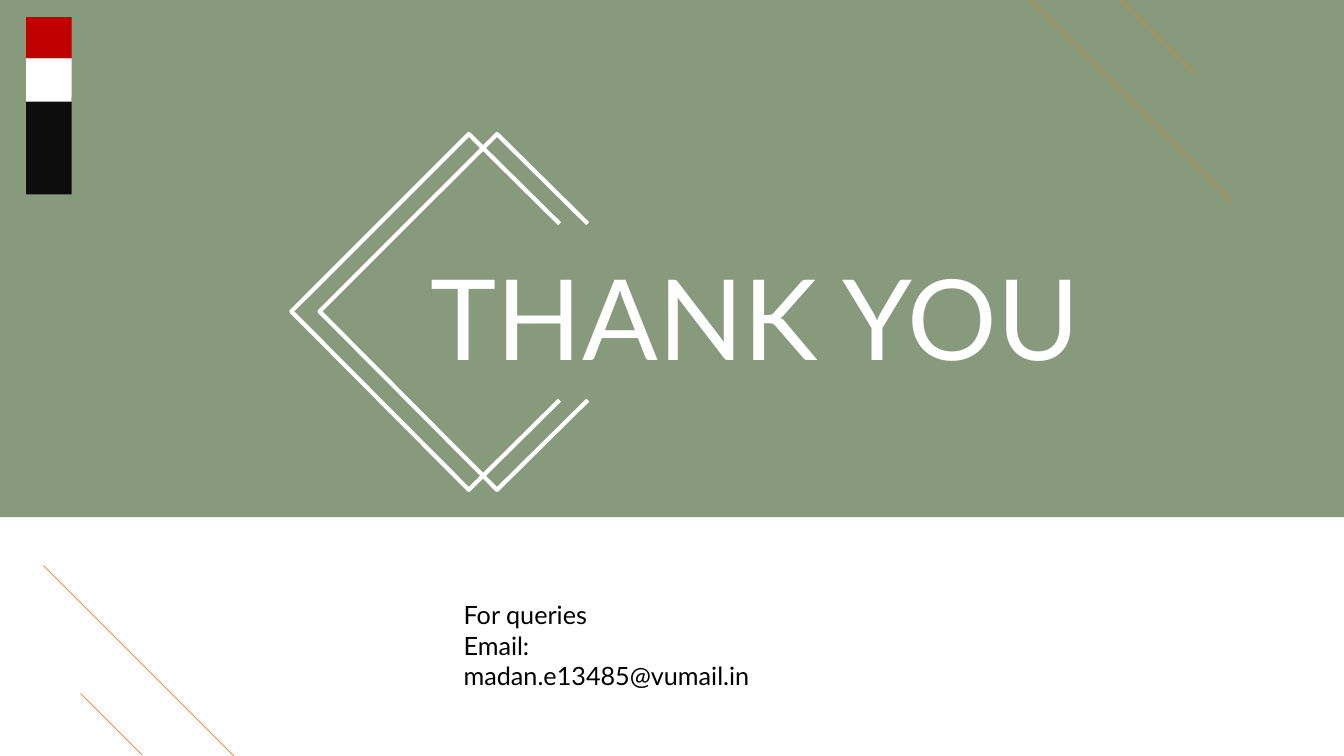
import pptx
import pptx.util
import pptx.dml.color
import pptx.enum.shapes
import pptx.enum.text
import pptx.oxml.ns
from dataclasses import dataclass
from lxml import etree

Inches = pptx.util.Inches
Pt = pptx.util.Pt
RGB = pptx.dml.color.RGBColor.from_string
qn = pptx.oxml.ns.qn


@dataclass(frozen=True)
class Theme:
    font: str = "Lato"
    green: str = "385723"
    orange: str = "ED7D31"
    red: str = "C00000"
    black: str = "0D0D0D"
    white: str = "FFFFFF"
    text: str = "000000"
    title_size: int = 80
    body_size: int = 18
    thin: float = 0.5
    thick: float = 3


theme = Theme()


def add_block(s, left, top, width, height, color):
    sp = s.shapes.add_shape(pptx.enum.shapes.MSO_SHAPE.RECTANGLE, Inches(left), Inches(top), Inches(width), Inches(height))
    sp.shadow.inherit = False
    sp.fill.solid()
    sp.fill.fore_color.rgb = RGB(color)
    sp.line.fill.background()
    return sp


def add_text(s, box, lines, size, color, align):
    tb = s.shapes.add_textbox(*[Inches(v) for v in box])
    tf = tb.text_frame
    tf.word_wrap = True
    tf.text = "\n".join(lines)
    for p in tf.paragraphs:
        p.alignment = align
        for r in p.runs:
            r.font.name = theme.font
            r.font.size = Pt(size)
            r.font.color.rgb = RGB(color)
    return tf


prs = pptx.Presentation()
prs.slide_width = Inches(13.33)
prs.slide_height = Inches(7.5)
s = prs.slides.add_slide(prs.slide_layouts[6])

panel = add_block(s, 0, 0, 13.33, 5.13, theme.green)
color = panel.fill._xPr.find(".//" + qn("a:srgbClr"))
etree.SubElement(color, qn("a:alpha"), val="60000")

diagonals = [(10.22, 0, 2), (11.12, 0, 0.73), (0.8, 6.88, 0.61), (0.43, 5.61, 1.89)]
for x, y, run in diagonals:
    line = s.shapes.add_connector(
        pptx.enum.shapes.MSO_CONNECTOR.STRAIGHT, Inches(x), Inches(y), Inches(x + run), Inches(y + run)
    )
    line.line.color.rgb = RGB(theme.orange)
    line.line.width = Pt(theme.thin)
    etree.SubElement(line._element.spPr, qn("a:effectLst"))

title = add_text(
    s, (1.63, 2.46, 11.73, 1.35), ["THANK YOU"], theme.title_size, theme.white, pptx.enum.text.PP_ALIGN.CENTER
)
title.vertical_anchor = pptx.enum.text.MSO_ANCHOR.MIDDLE
title.margin_left = title.margin_right = title.margin_top = title.margin_bottom = 0

bracket = [(2.66, 2.64), (1.76, 3.53), (0, 1.76), (1.76, 0), (2.66, 0.89)]
for left in (2.89, 3.17):
    points = [(Inches(left + x), Inches(1.33 + y)) for x, y in bracket]
    fb = s.shapes.build_freeform(*points[0])
    fb.add_line_segments(points[1:], close=False)
    sp = fb.convert_to_shape()
    sp.shadow.inherit = False
    sp.fill.background()
    sp.line.color.rgb = RGB(theme.white)
    sp.line.width = Pt(theme.thick)

for top, height, color in [(0.17, 0.41, theme.red), (0.96, 0.97, theme.black), (0.58, 0.43, theme.white)]:
    add_block(s, 0.26, top, 0.45, height, color)

add_text(
    s, (4.5, 5.9, 3.3, 0.71), ["For queries", "Email: madan.e13485@vumail.in"],
    theme.body_size, theme.text, pptx.enum.text.PP_ALIGN.LEFT,
)

prs.save("out.pptx")
